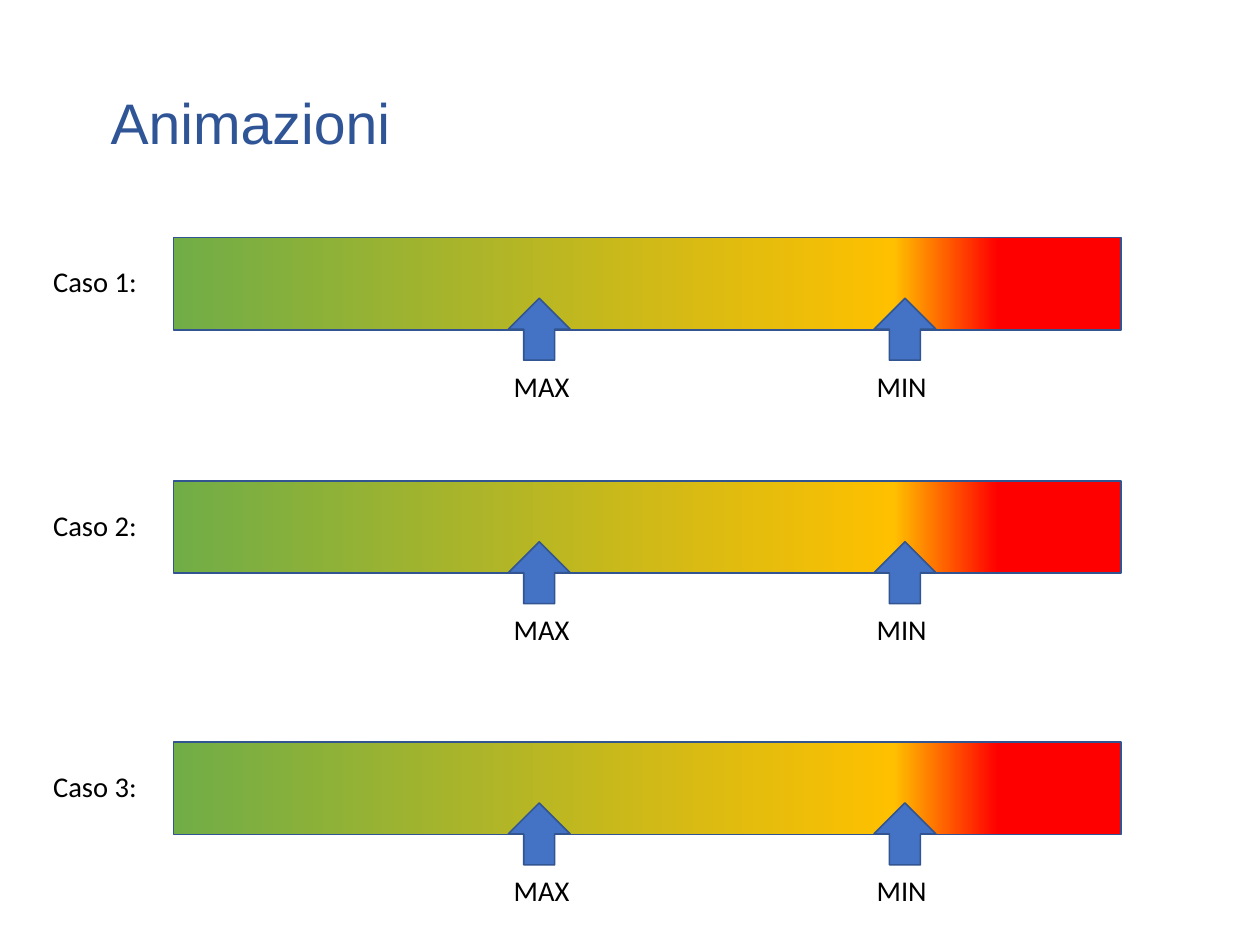
from copy import deepcopy

from pptx import Presentation
from pptx.dml.color import RGBColor
from pptx.enum import shapes, text
from pptx.oxml.ns import qn
from pptx.util import Pt

COLORS = {
    "title": "2F5597",
    "text": "000000",
    "arrow": "4472C4",
    "outline": "325491",
    "red": "FF0000",
    "amber": "FFC000",
    "green": "70AD47",
}
BAR_STOPS = [(0.13, "red"), (0.24, "amber"), (1, "green")]
BAR_LEFT, BAR_WIDTH, BAR_HEIGHT = 109.2, 597, 58.2
ARROW_SIZE = 39
# caption, arrow left, caption left, caption width
MARKERS = [("MAX", 320.2, 316.5, 49.7), ("MIN", 550.6, 545.2, 46.1)]
CASES = [("Caso 1:", 149.5), ("Caso 2:", 302.9), ("Caso 3:", 467.4)]
LABEL_FORMAT = {"name": "Calibri", "size": Pt(18)}
TITLE_FORMAT = {"name": "Arial", "size": Pt(36)}


def rgb(color):
    return RGBColor.from_string(COLORS[color])


def add_text(slide, words, box, font_format, color="text", wrap=False):
    shape = slide.shapes.add_textbox(*map(Pt, box))
    frame = shape.text_frame
    frame.word_wrap = wrap
    frame.auto_size = text.MSO_AUTO_SIZE.SHAPE_TO_FIT_TEXT
    paragraph = frame.paragraphs[0]
    run = paragraph.add_run()
    run.text = words
    for name, value in font_format.items():
        setattr(run.font, name, value)
    run.font.color.rgb = rgb(color)


def add_outlined_shape(slide, kind, box):
    shape = slide.shapes.add_shape(kind, *map(Pt, box))
    shape.shadow.inherit = False
    shape.line.color.rgb = rgb("outline")
    shape.line.width = Pt(1)
    return shape


def add_bar(slide, top):
    """Add a bar that runs from green on the left to red on the right."""
    shape = add_outlined_shape(slide, shapes.MSO_SHAPE.FLOWCHART_PROCESS,
                               (BAR_LEFT, top, BAR_WIDTH, BAR_HEIGHT))
    shape.fill.gradient()
    shape.fill.gradient_angle = 180
    stop_list = next(shape._element.iter(qn("a:gsLst")))
    stop_list.append(deepcopy(stop_list[-1]))
    for stop, (position, color) in zip(shape.fill.gradient_stops, BAR_STOPS):
        stop.position = position
        stop.color.rgb = rgb(color)


def add_arrow(slide, left, top):
    shape = add_outlined_shape(slide, shapes.MSO_SHAPE.UP_ARROW,
                               (left, top, ARROW_SIZE, ARROW_SIZE))
    shape.fill.solid()
    shape.fill.fore_color.rgb = rgb("arrow")


def add_case(slide, label, top):
    add_bar(slide, top)
    add_text(slide, label, (26.4, top + 13.2, 67.7, 29), LABEL_FORMAT)
    for caption, arrow_left, caption_left, caption_width in MARKERS:
        add_arrow(slide, arrow_left, top + 38.4)
        add_text(slide, caption, (caption_left, top + 79.2, caption_width, 29),
                 LABEL_FORMAT)


def main():
    presentation = Presentation()
    presentation.slide_width = Pt(793.75)
    presentation.slide_height = Pt(595.25)
    slide = presentation.slides.add_slide(presentation.slide_layouts[6])
    for label, top in CASES:
        add_case(slide, label, top)
    add_text(slide, "Animazioni", (62.6, 51.5, 589, 51), TITLE_FORMAT,
             color="title", wrap=True)
    presentation.save("out.pptx")


if __name__ == "__main__":
    main()
